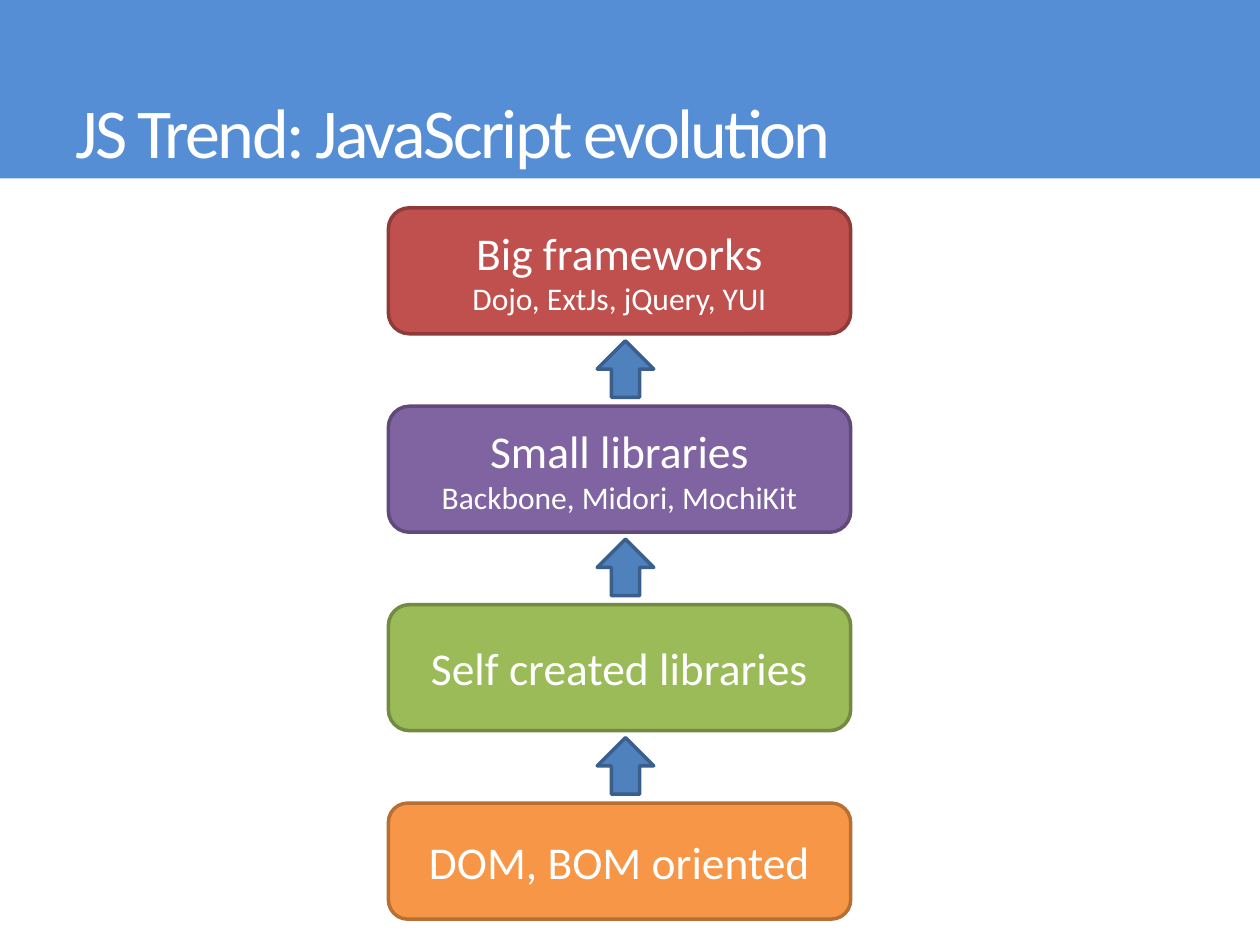
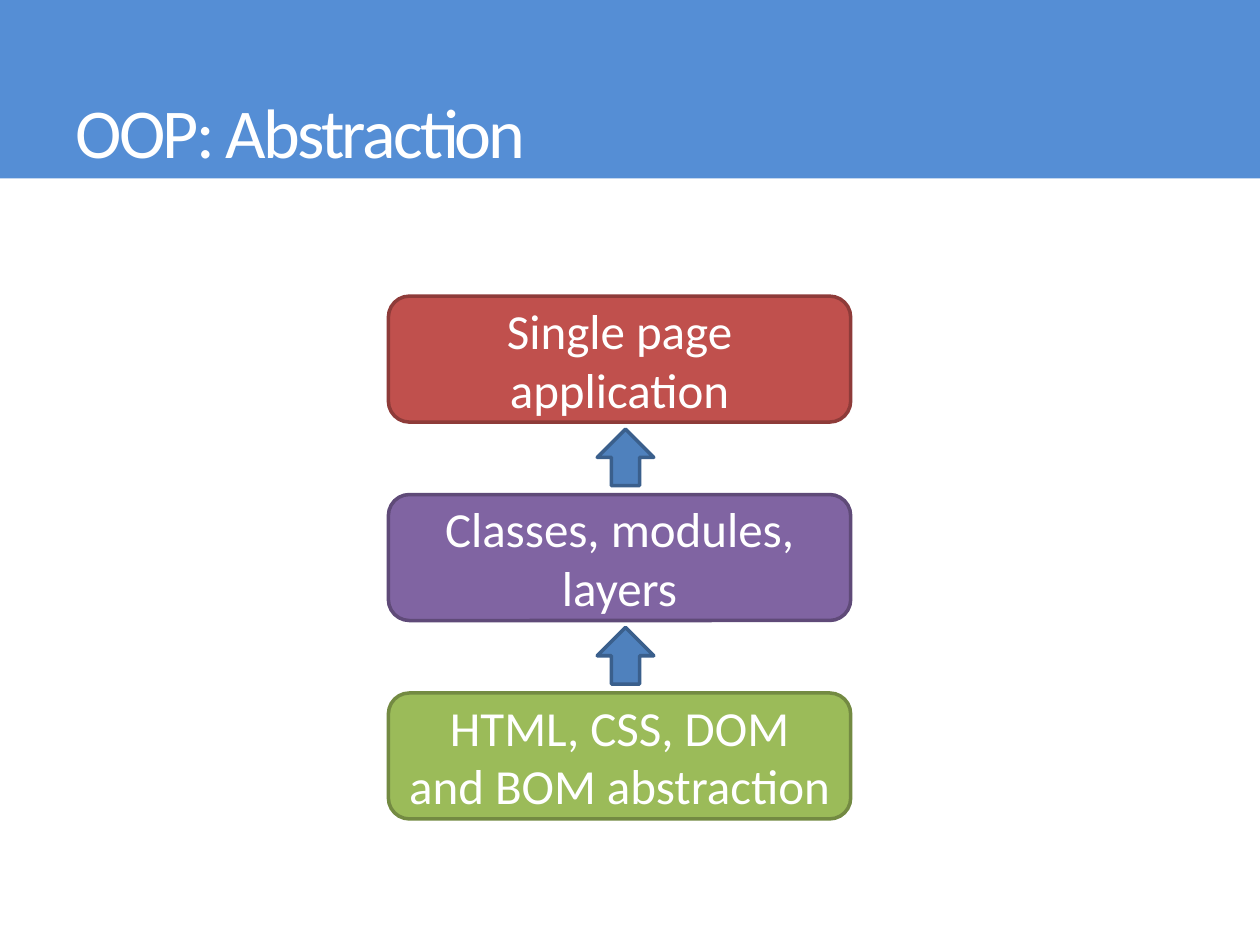
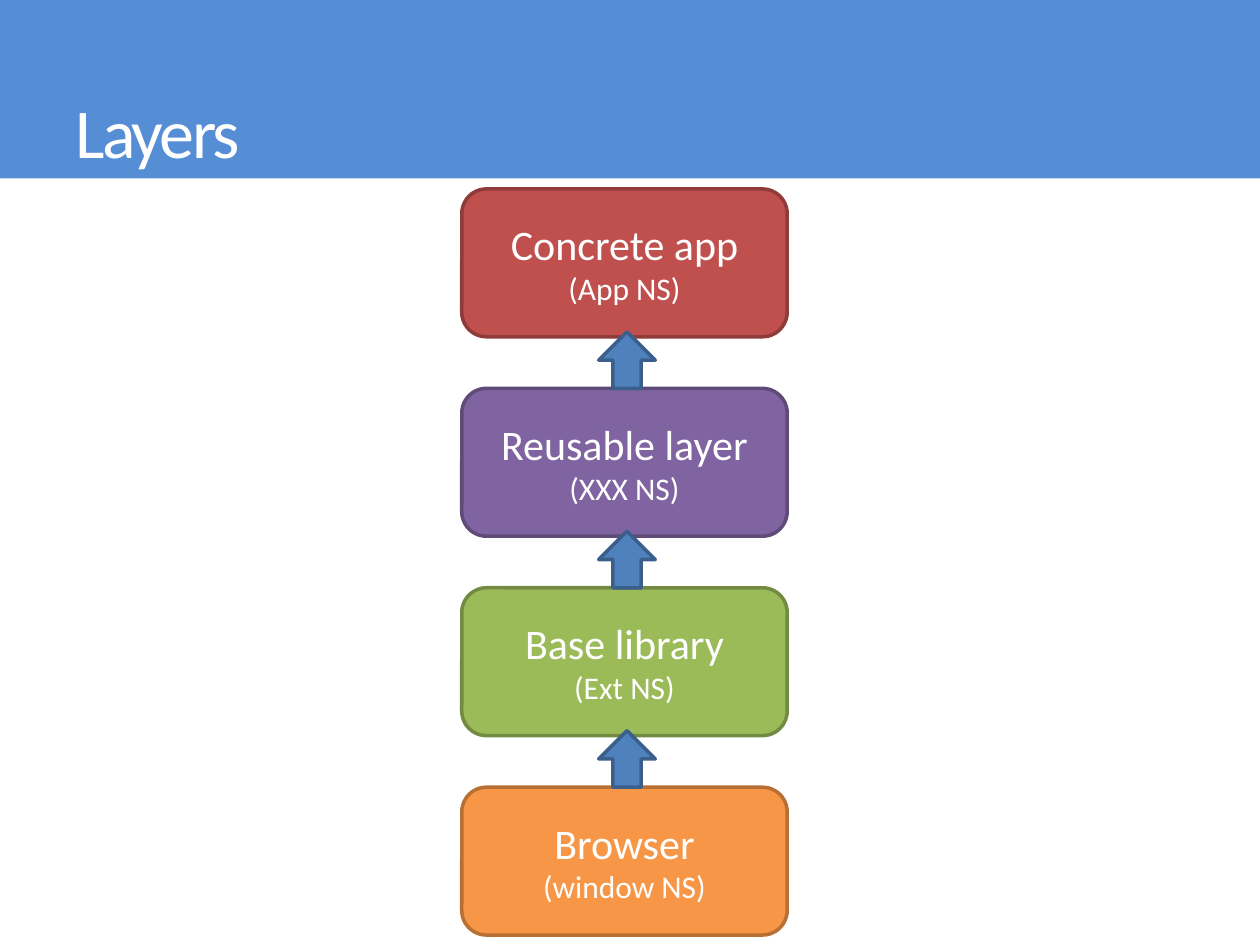
from dataclasses import dataclass

from pptx import Presentation
from pptx.dml.color import RGBColor
from pptx.enum.shapes import MSO_SHAPE
from pptx.enum.text import MSO_ANCHOR, PP_ALIGN
from pptx.util import Cm, Pt

FONT = "Calibri"
WHITE = "FFFFFF"
BAND = "558ED5"
ARROW_FILL, ARROW_LINE = "4F81BD", "3A5F8C"
LEVEL_COLORS = [
    ("C0504D", "8E3B39"),
    ("8064A2", "5F4A78"),
    ("9BBB59", "738A42"),
    ("F79646", "B76F34"),
]
SLIDE_WIDTH, SLIDE_HEIGHT = 25.4, 19.05
ARROW_SIZE = 1.14
DETAIL_SIZE = 18


@dataclass
class Level:
    heading: str
    detail: str = ""
    height: float = 2.54


@dataclass
class Stack:
    title: str
    levels: list[Level]
    top: float
    heading_size: int
    left: float = 7.83
    width: float = 9.32
    pitch: float = 4.0
    arrow_left: float = 12.04
    arrow_rise: float = 1.32


STACKS = [
    Stack(
        "JS Trend: JavaScript evolution",
        [
            Level("Big frameworks", "Dojo, ExtJs, jQuery, YUI"),
            Level("Small libraries", "Backbone, Midori, MochiKit"),
            Level("Self created libraries"),
            Level("DOM, BOM oriented", height=2.34),
        ],
        top=4.19,
        heading_size=26,
    ),
    Stack(
        "OOP: Abstraction",
        [
            Level("Single page application"),
            Level("Classes, modules, layers"),
            Level("HTML, CSS, DOM\vand BOM abstraction"),
        ],
        top=5.97,
        heading_size=28,
    ),
    Stack(
        "Layers",
        [
            Level("Concrete app", "(App NS)", 2.98),
            Level("Reusable layer", "(XXX NS)", 2.98),
            Level("Base library", "(Ext NS)", 2.98),
            Level("Browser", "(window NS)", 2.98),
        ],
        top=3.81,
        heading_size=24,
        left=9.31,
        width=6.56,
        pitch=4.02,
        arrow_left=12.07,
        arrow_rise=ARROW_SIZE,
    ),
]


def color(value: str) -> RGBColor:
    return RGBColor.from_string(value)


def add_block(slide, kind, left: float, top: float, width: float, height: float,
              fill: str, line: str | None = None):
    shape = slide.shapes.add_shape(kind, Cm(left), Cm(top), Cm(width), Cm(height))
    shape.shadow.inherit = False
    shape.fill.solid()
    shape.fill.fore_color.rgb = color(fill)
    if line:
        shape.line.color.rgb = color(line)
        shape.line.width = Pt(2)
    else:
        shape.line.fill.background()
    return shape


def format_runs(paragraph, size: int) -> None:
    for run in paragraph.runs:
        run.font.name = FONT
        run.font.size = Pt(size)
        run.font.color.rgb = color(WHITE)


def add_title(slide, title: str) -> None:
    add_block(slide, MSO_SHAPE.RECTANGLE, 0, 0, SLIDE_WIDTH, 3.6, BAND)
    text_frame = slide.shapes.add_textbox(Cm(1.27), Cm(1.27), Cm(22.86), Cm(2.33)).text_frame
    text_frame.word_wrap = True
    text_frame.vertical_anchor = MSO_ANCHOR.BOTTOM
    text_frame.text = title
    paragraph = text_frame.paragraphs[0]
    format_runs(paragraph, 40)
    for run in paragraph.runs:
        run._r.get_or_add_rPr().set("spc", "-150")


def add_level(slide, stack: Stack, level: Level, top: float, fill: str, line: str) -> None:
    shape = add_block(slide, MSO_SHAPE.ROUNDED_RECTANGLE, stack.left, top,
                      stack.width, level.height, fill, line)
    text_frame = shape.text_frame
    text_frame.word_wrap = True
    text_frame.vertical_anchor = MSO_ANCHOR.MIDDLE
    text_frame.text = f"{level.heading}\n{level.detail}" if level.detail else level.heading
    for paragraph, size in zip(text_frame.paragraphs, (stack.heading_size, DETAIL_SIZE)):
        paragraph.alignment = PP_ALIGN.CENTER
        format_runs(paragraph, size)


def add_stack(slide, stack: Stack) -> None:
    add_title(slide, stack.title)
    tops = [stack.top + index * stack.pitch for index in range(len(stack.levels))]
    for level, top, (fill, line) in zip(stack.levels, tops, LEVEL_COLORS):
        add_level(slide, stack, level, top, fill, line)
    for top in tops[1:]:
        add_block(slide, MSO_SHAPE.UP_ARROW, stack.arrow_left, top - stack.arrow_rise,
                  ARROW_SIZE, ARROW_SIZE, ARROW_FILL, ARROW_LINE)


def main() -> None:
    presentation = Presentation()
    presentation.slide_width = Cm(SLIDE_WIDTH)
    presentation.slide_height = Cm(SLIDE_HEIGHT)
    for stack in STACKS:
        add_stack(presentation.slides.add_slide(presentation.slide_layouts[6]), stack)
    presentation.save("out.pptx")


if __name__ == "__main__":
    main()
